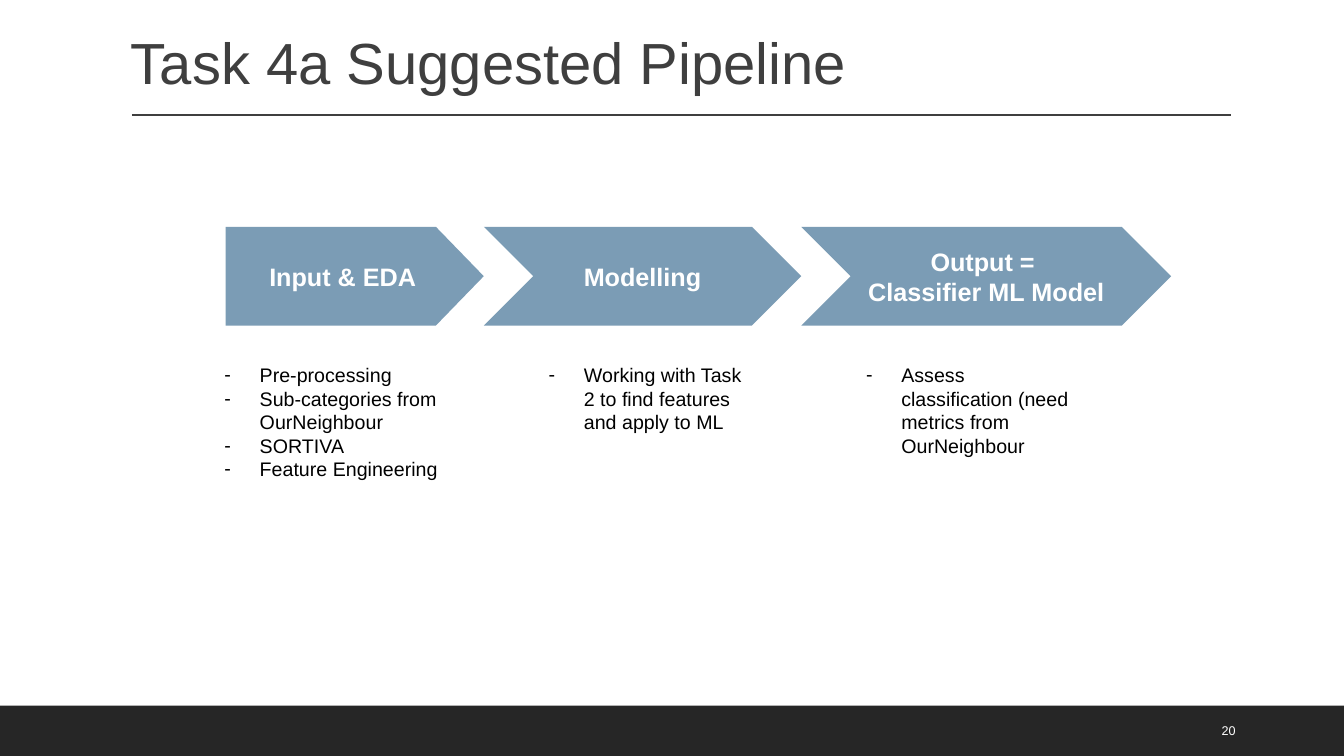
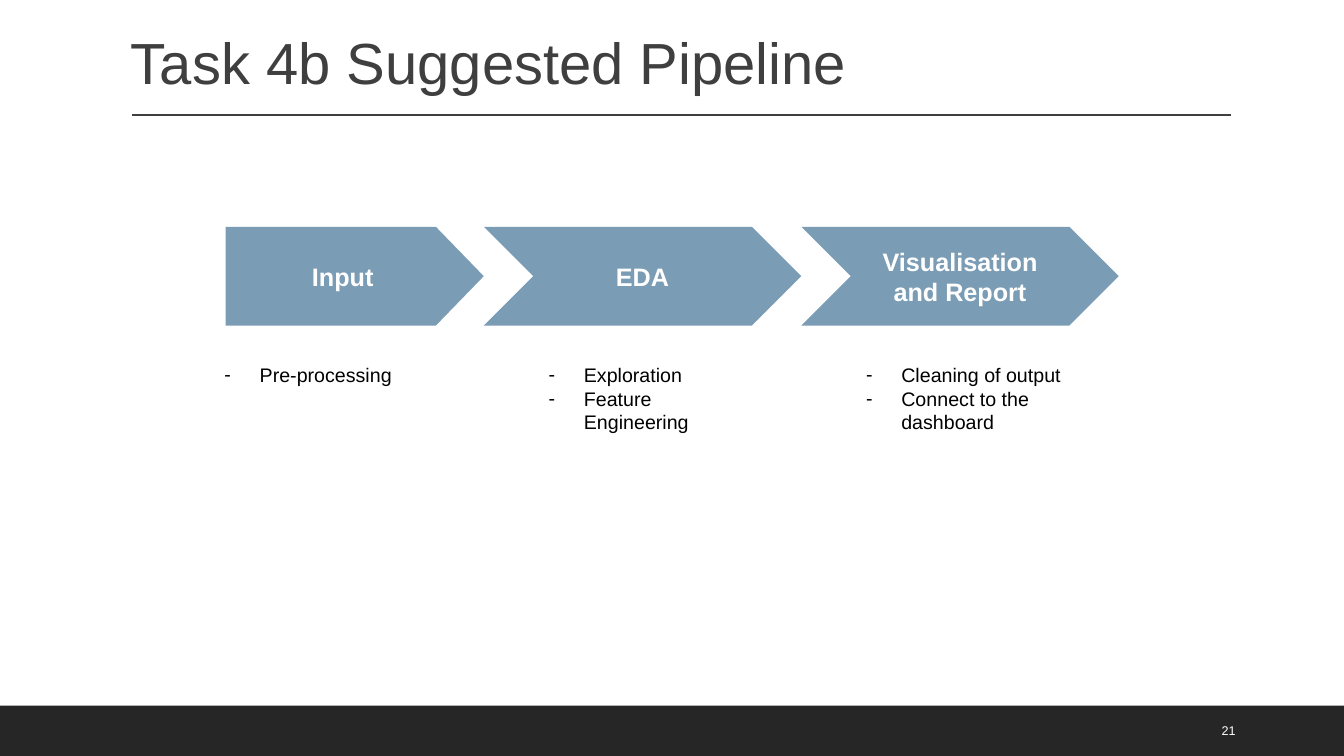
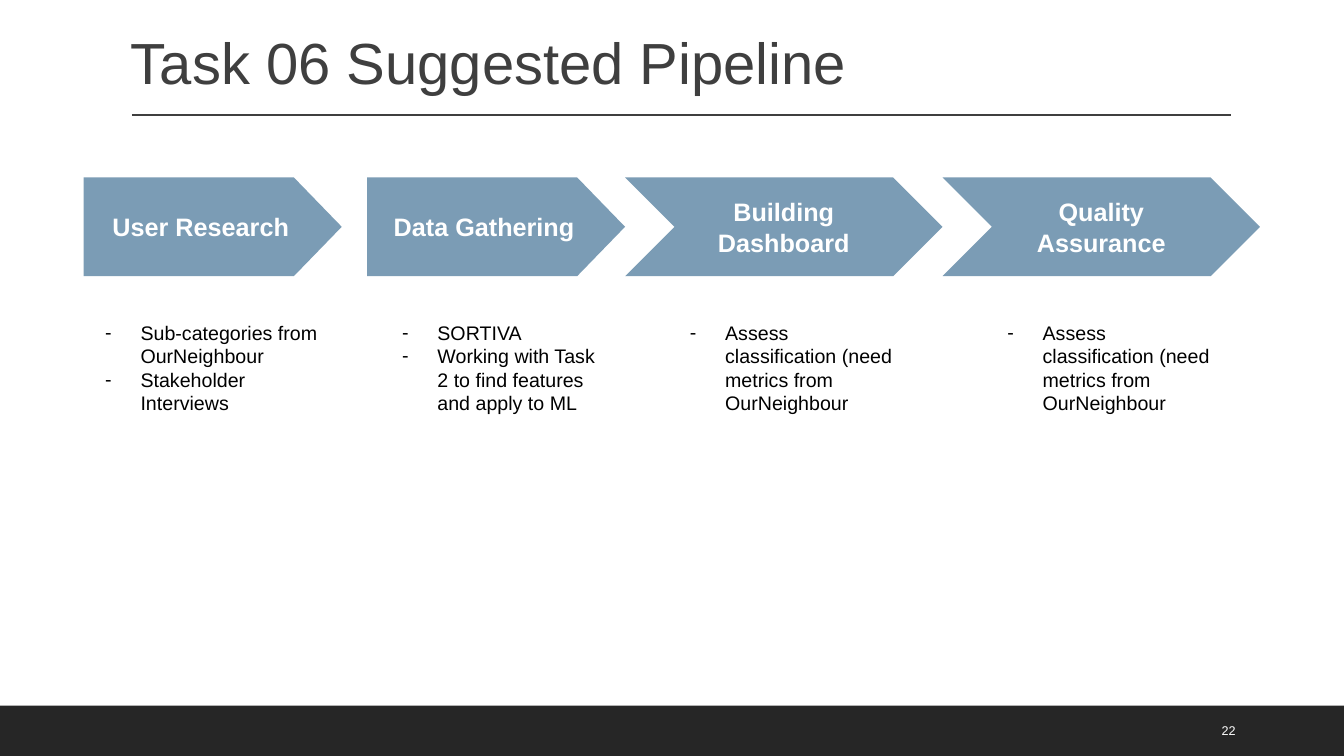
from dataclasses import dataclass

import lxml.etree
import pptx
import pptx.dml.color
import pptx.enum.shapes
import pptx.enum.text
import pptx.oxml.ns
import pptx.presentation
import pptx.shapes.autoshape
import pptx.slide
import pptx.util

SLIDE_WIDTH = pptx.util.Inches(13.333)
SLIDE_HEIGHT = pptx.util.Inches(7.5)

WHITE = pptx.dml.color.RGBColor(0xFF, 0xFF, 0xFF)
BLACK = pptx.dml.color.RGBColor(0x00, 0x00, 0x00)
CHARCOAL = pptx.dml.color.RGBColor(0x26, 0x26, 0x26)
GRAY = pptx.dml.color.RGBColor(0x3F, 0x3F, 0x3F)
STEEL = pptx.dml.color.RGBColor(0x7B, 0x9C, 0xB5)

Preset = pptx.enum.shapes.MSO_SHAPE
Anchor = pptx.enum.text.MSO_ANCHOR
Align = pptx.enum.text.PP_ALIGN

STEP_HEIGHT = 13.07
PLATE_WIDTH = 19.2
CHEVRON_WIDTH = 23.62
NOTE_WIDTH = 17.7
WIDE_NOTE = 19.72
NOTE_HEIGHT = 18.67
FIRST_NUMBER = 20


@dataclass(frozen=True)
class Style:
    size: float
    color: pptx.dml.color.RGBColor
    bold: bool = False
    align: Align = Align.LEFT
    anchor: Anchor = Anchor.MIDDLE
    spacing: float = 1.0
    inset: float = 0.05
    bulleted: bool = False


TITLE = Style(41.4, GRAY, anchor=Anchor.BOTTOM, spacing=0.9)
NUMBER = Style(9, WHITE)
STEP = Style(18, WHITE, bold=True, align=Align.CENTER)
NOTE = Style(14, BLACK, anchor=Anchor.TOP, inset=0.1, bulleted=True)


@dataclass(frozen=True)
class Area:
    left: float
    top: float
    width: float
    height: float

    def lengths(self) -> tuple[int, int, int, int]:
        return across(self.left), down(self.top), across(self.width), down(self.height)


@dataclass(frozen=True)
class Step:
    label: str
    notes: tuple[str, ...]
    is_plate: bool = False
    width: float = CHEVRON_WIDTH
    gap: float = 0
    note_width: float = NOTE_WIDTH
    note_shift: float = 0


@dataclass(frozen=True)
class Pipeline:
    task: str
    left: float
    top: float
    note_drop: float
    steps: tuple[Step, ...]


def plate(label: str, *notes: str, gap: float = 0, note_width: float = WIDE_NOTE,
          note_shift: float = 0) -> Step:
    return Step(label, notes, True, PLATE_WIDTH, gap, note_width, note_shift)


ASSESS = ("Assess classification (need metrics from OurNeighbour",)
FEATURES = "Working with Task 2 to find features and apply to ML"
SUBCATEGORIES = "Sub-categories from OurNeighbour"
PRODUCT = "SORTIVA"

PIPELINES = (
    Pipeline("4a", 16.8, 30, 16.67, (
        plate("Input & EDA", "Pre-processing", SUBCATEGORIES, PRODUCT,
              "Feature Engineering", note_shift=-1.7),
        Step("Modelling", (FEATURES,)),
        Step("Output = \vClassifier ML Model", ASSESS, width=27.52, note_shift=-1.95),
    )),
    Pipeline("4b", 16.8, 30, 16.67, (
        plate("Input", "Pre-processing", note_shift=-1.7),
        Step("EDA", ("Exploration", "Feature Engineering")),
        Step("Visualisation and Report", ("Cleaning of output", "Connect to the dashboard")),
    )),
    Pipeline("06", 6.23, 23.47, 17.6, (
        plate("User Research", SUBCATEGORIES, "Stakeholder Interviews"),
        plate("Data Gathering", PRODUCT, FEATURES, gap=1.88, note_width=NOTE_WIDTH),
        Step("Building Dashboard", ASSESS),
        Step("Quality Assurance", ASSESS),
    )),
)


def across(percent: float) -> int:
    return round(SLIDE_WIDTH * percent / 100)


def down(percent: float) -> int:
    return round(SLIDE_HEIGHT * percent / 100)


def set_all(target: object, values: dict[str, object]) -> None:
    for name, value in values.items():
        setattr(target, name, value)


def add_dash(para: object) -> None:
    properties = para._p.get_or_add_pPr()
    properties.set("marL", str(pptx.util.Inches(0.5)))
    properties.set("indent", str(pptx.util.Inches(-0.35)))
    tag = pptx.oxml.ns.qn
    color = lxml.etree.SubElement(properties, tag("a:buClr"))
    lxml.etree.SubElement(color, tag("a:srgbClr"), val=str(BLACK))
    lxml.etree.SubElement(properties, tag("a:buFont"), typeface="Arial")
    lxml.etree.SubElement(properties, tag("a:buChar"), char="-")


def write(box: pptx.shapes.autoshape.Shape, lines: tuple[str, ...], style: Style) -> None:
    frame = box.text_frame
    side, edge = pptx.util.Inches(0.1), pptx.util.Inches(style.inset)
    set_all(frame, {
        "word_wrap": True, "vertical_anchor": style.anchor,
        "margin_left": side, "margin_right": side,
        "margin_top": edge, "margin_bottom": edge,
    })
    for index, line in enumerate(lines):
        para = frame.add_paragraph() if index else frame.paragraphs[0]
        para.text = line
        set_all(para, {"alignment": style.align, "line_spacing": style.spacing})
        if style.bulleted:
            add_dash(para)
        for span in para.runs:
            set_all(span.font, {
                "name": "Arial", "size": pptx.util.Pt(style.size), "bold": style.bold,
            })
            span.font.color.rgb = style.color


def add_text(page: pptx.slide.Slide, area: Area, lines: tuple[str, ...], style: Style) -> None:
    write(page.shapes.add_textbox(*area.lengths()), lines, style)


def add_block(page: pptx.slide.Slide, preset: Preset, area: Area,
              color: pptx.dml.color.RGBColor) -> pptx.shapes.autoshape.Shape:
    shape = page.shapes.add_shape(preset, *area.lengths())
    shape.shadow.inherit = False
    shape.fill.solid()
    shape.fill.fore_color.rgb = color
    shape.line.fill.background()
    return shape


def add_frame(page: pptx.slide.Slide, title: str, number: int) -> None:
    add_block(page, Preset.RECTANGLE, Area(0, 93.33, 100, 6.67), CHARCOAL)
    rule = page.shapes.add_connector(
        pptx.enum.shapes.MSO_CONNECTOR.STRAIGHT,
        across(9.82), down(15.2), across(91.58), down(15.2))
    rule.line.color.rgb = GRAY
    rule.line.width = pptx.util.Pt(1)
    lxml.etree.SubElement(rule._element.spPr, pptx.oxml.ns.qn("a:effectLst"))
    add_text(page, Area(9, 3.07, 82.5, 10.4), (title,), TITLE)
    add_text(page, Area(90.15, 94, 6.38, 5.33), (str(number),), NUMBER)


def add_step(page: pptx.slide.Slide, step: Step, left: float, pipeline: Pipeline) -> None:
    preset = Preset.PENTAGON if step.is_plate else Preset.CHEVRON
    arrow = add_block(page, preset, Area(left, pipeline.top, step.width, STEP_HEIGHT), STEEL)
    arrow.adjustments[0] = 0.485 if step.is_plate else 0.5
    write(arrow, (step.label,), STEP)
    note_left = left + (step.width - step.note_width) / 2 + step.note_shift
    note_top = pipeline.top + pipeline.note_drop
    add_text(page, Area(note_left, note_top, step.note_width, NOTE_HEIGHT), step.notes, NOTE)


def add_pipeline(deck: pptx.presentation.Presentation, pipeline: Pipeline, number: int) -> None:
    page = deck.slides.add_slide(deck.slide_layouts[6])
    add_frame(page, f"Task {pipeline.task} Suggested Pipeline", number)
    left = pipeline.left
    for step in pipeline.steps:
        left += step.gap
        add_step(page, step, left, pipeline)
        left += step.width


def main() -> None:
    deck = pptx.Presentation()
    set_all(deck, {"slide_width": SLIDE_WIDTH, "slide_height": SLIDE_HEIGHT})
    for number, pipeline in enumerate(PIPELINES, FIRST_NUMBER):
        add_pipeline(deck, pipeline, number)
    deck.save("out.pptx")


if __name__ == "__main__":
    main()
